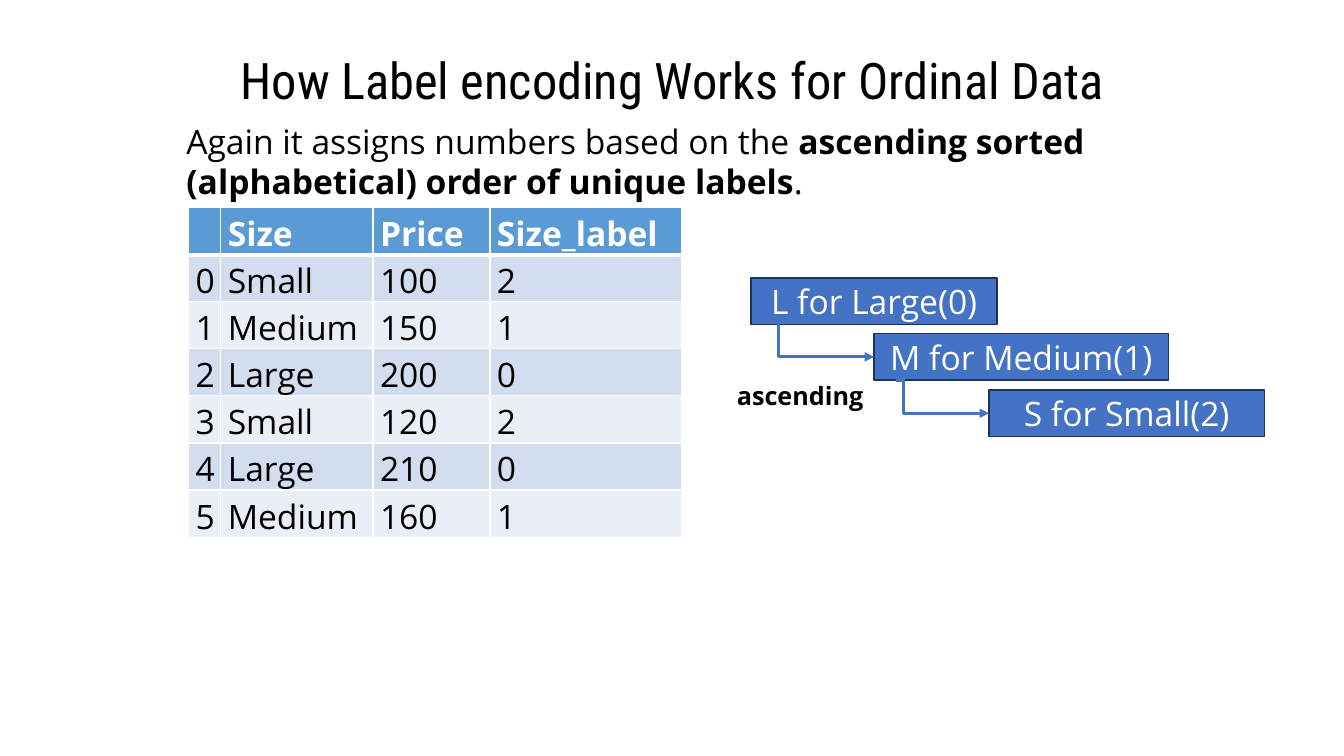
from lxml import etree
from pptx import Presentation
from pptx.dml.color import RGBColor
from pptx.enum.shapes import MSO_CONNECTOR, MSO_SHAPE
from pptx.enum.text import MSO_ANCHOR, MSO_AUTO_SIZE, PP_ALIGN
from pptx.oxml import parse_xml
from pptx.oxml.ns import nsdecls, qn
from pptx.util import Inches, Pt

ELBOW, RECT = MSO_CONNECTOR.ELBOW, MSO_SHAPE.RECTANGLE
MIDDLE, GROW = MSO_ANCHOR.MIDDLE, MSO_AUTO_SIZE.SHAPE_TO_FIT_TEXT
LEFT, CENTER, RIGHT = PP_ALIGN.LEFT, PP_ALIGN.CENTER, PP_ALIGN.RIGHT

BLACK = RGBColor(0x00, 0x00, 0x00)
WHITE = RGBColor(0xFF, 0xFF, 0xFF)
HEAD = RGBColor(0x5B, 0x9B, 0xD5)
BANDS = [RGBColor(0xEA, 0xEF, 0xF7), RGBColor(0xD2, 0xDE, 0xEF)]
BLUE = RGBColor(0x44, 0x72, 0xC4)
NAVY = RGBColor(0x1E, 0x32, 0x56)
BODY, TITLE = "Open Sans", "Roboto Condensed"


def add_run(frame, text, size=24, color=BLACK, bold=False, font=BODY, align=LEFT):
    para = frame.paragraphs[0]
    para.alignment = align
    run = para.add_run()
    run.text = text
    run.font.size = Pt(size)
    run.font.name = font
    run.font.bold = bold
    run.font.color.rgb = color


def add_box(left, top, width, height):
    frame = slide.shapes.add_textbox(
        Inches(left), Inches(top), Inches(width), Inches(height)).text_frame
    frame.word_wrap = True
    frame.auto_size = GROW
    return frame


deck = Presentation()
deck.slide_width, deck.slide_height = Inches(13.33), Inches(7.5)
slide = deck.slides.add_slide(deck.slide_layouts[6])

# Title and lead sentence
title = add_box(1.75, 0.44, 9.84, 0.71)
add_run(title, "How Label encoding Works for Ordinal Data", 36, font=TITLE, align=CENTER)

lead = add_box(1.75, 1.15, 9.84, 0.91)
add_run(lead, "Again it assigns numbers based on the ")
add_run(lead, "ascending sorted (alphabetical) order of unique labels", bold=True)
add_run(lead, ".")

# Table of sizes
rows = [
    ("", "Size", "Price", "Size_label"),
    ("0", "Small", "100", "2"),
    ("1", "Medium", "150", "1"),
    ("2", "Large", "200", "0"),
    ("3", "Small", "120", "2"),
    ("4", "Large", "210", "0"),
    ("5", "Medium", "160", "1"),
]
table = slide.shapes.add_table(
    len(rows), 4, Inches(1.87), Inches(2.06), Inches(4.89), Inches(3.27)).table
for col, width in zip(table.columns, (0.32, 1.51, 1.16, 1.9)):
    col.width = Inches(width)

for r, row in enumerate(rows):
    for c, text in enumerate(row):
        cell = table.cell(r, c)
        cell.vertical_anchor = MIDDLE
        cell.margin_left = cell.margin_right = Inches(0.07)
        cell.margin_top = cell.margin_bottom = Inches(0.03)
        # White borders, thick under the header
        props = cell._tc.get_or_add_tcPr()
        for side in "LRTB":
            thick = (r, side) in ((0, "B"), (1, "T"))
            props.append(parse_xml(
                f'<a:ln{side} {nsdecls("a")} w="{Pt(3 if thick else 1)}">'
                f'<a:solidFill><a:srgbClr val="{WHITE}"/></a:solidFill></a:ln{side}>'))
        cell.fill.solid()
        cell.fill.fore_color.rgb = BANDS[r % 2] if r else HEAD
        if text:
            add_run(cell.text_frame, text, color=BLACK if r else WHITE,
                    bold=r == 0, align=LEFT if c else RIGHT)

# Steps in sorted order
steps = [
    ("L for Large(0)", 7.45, 2.76, 2.44),
    ("M for Medium(1)", 8.67, 3.31, 2.92),
    ("S for Small(2)", 9.81, 3.87, 2.73),
]
for text, left, top, width in steps:
    step = slide.shapes.add_shape(
        RECT, Inches(left), Inches(top), Inches(width), Inches(0.46))
    step.shadow.inherit = False
    step.fill.solid()
    step.fill.fore_color.rgb = BLUE
    step.line.color.rgb = NAVY
    step.line.width = Pt(1)
    step.text_frame.word_wrap = True
    step.text_frame.vertical_anchor = MIDDLE
    add_run(step.text_frame, text, color=WHITE, align=CENTER)

# Elbow arrows, with the bend as thousandths of a percent of the width
arrows = [
    (8.89, 3.77, 9.81, 4.1, 7800),
    (7.71, 3.19, 8.67, 3.54, 1600),
]
for x1, y1, x2, y2, bend in arrows:
    arrow = slide.shapes.add_connector(
        ELBOW, Inches(x1), Inches(y1), Inches(x2), Inches(y2))
    arrow.line.color.rgb = BLUE
    arrow.line.width = Pt(2.25)
    props = arrow._element.spPr
    guides = props.find(qn("a:prstGeom")).get_or_add_avLst()
    etree.SubElement(guides, qn("a:gd"), name="adj1", fmla=f"val {bend}")
    etree.SubElement(arrow.line._get_or_add_ln(), qn("a:tailEnd"), type="triangle")
    etree.SubElement(props, qn("a:effectLst"))

# Caption beside the steps
note = add_box(7.21, 3.72, 1.46, 0.4)
add_run(note, "ascending", 18, bold=True)

deck.save("out.pptx")
